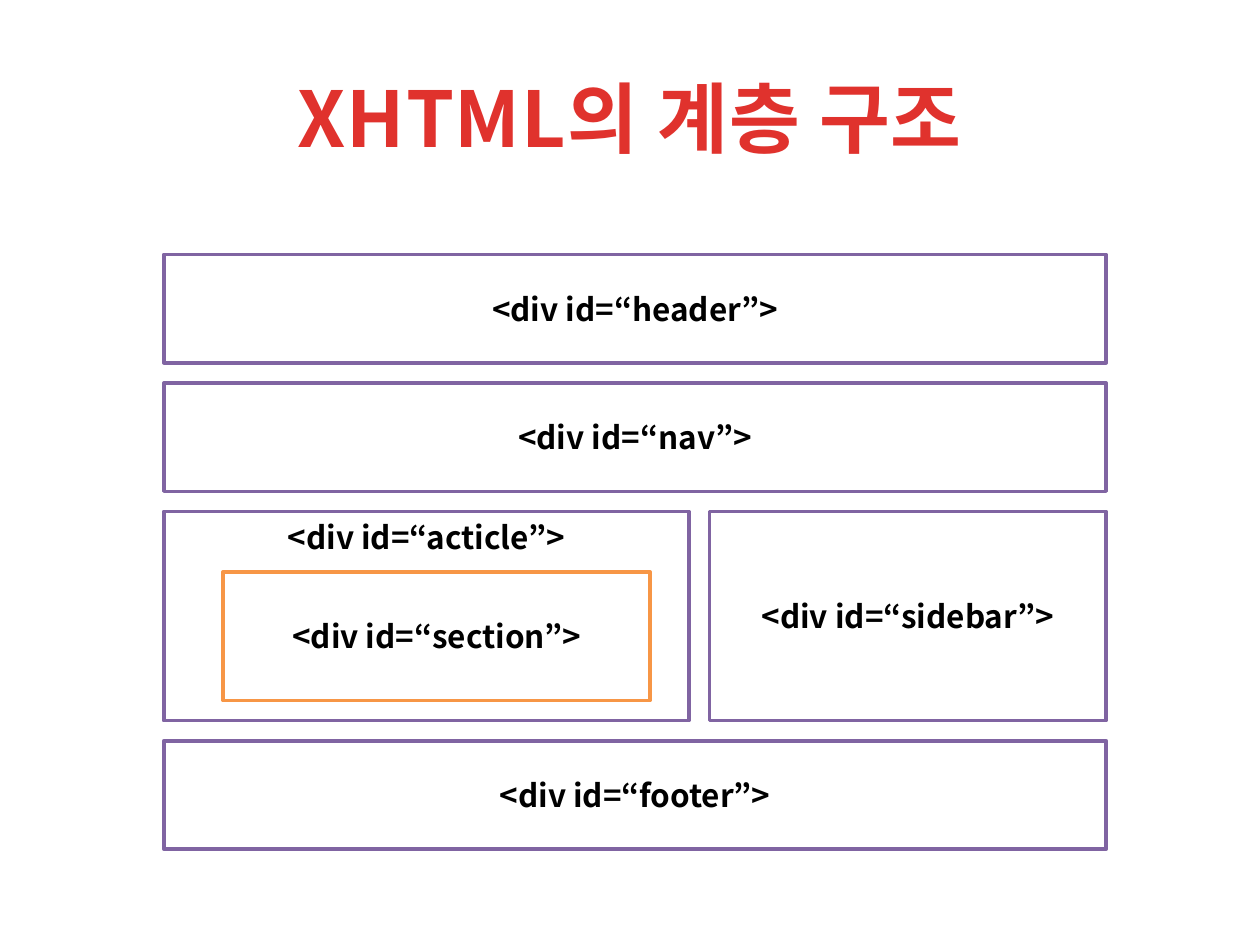
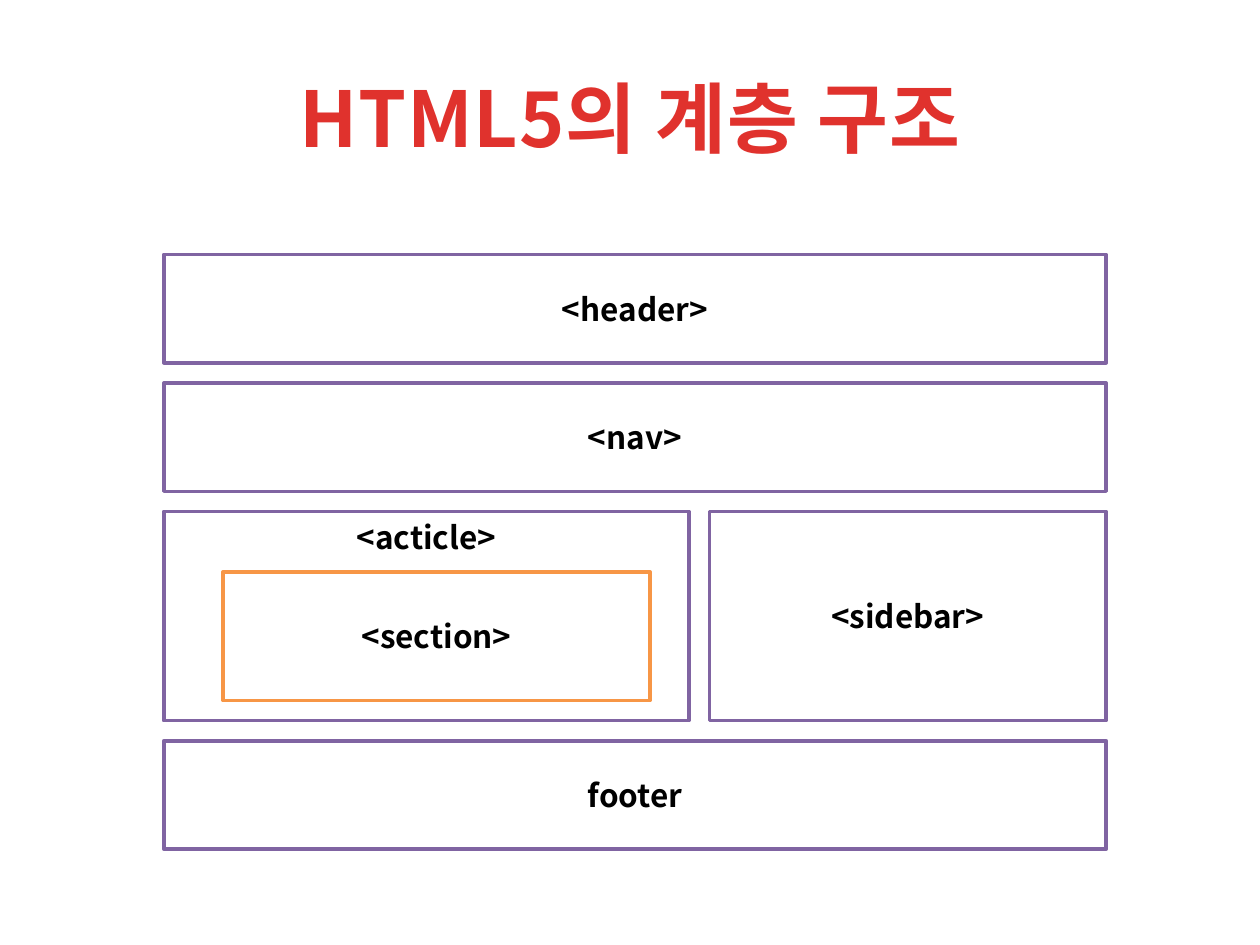
from dataclasses import dataclass

from lxml.etree import SubElement
from pptx import Presentation
from pptx.dml.color import RGBColor
from pptx.enum.shapes import MSO_SHAPE
from pptx.enum.text import MSO_ANCHOR, PP_ALIGN
from pptx.oxml.ns import qn
from pptx.slide import Slide
from pptx.text.text import _Run as Run
from pptx.util import Inches, Pt

FONT = "Noto Sans CJK KR"
WHITE, BLACK, PURPLE, ORANGE = "FFFFFF", "000000", "8064A2", "F79646"
TITLE_STOPS = ((0.25, "E0322D"), (1, "A2201C"))
TITLE_FORMAT = {"name": FONT, "size": Pt(44), "bold": True}
LABEL_FORMAT = {"name": FONT, "size": Pt(18), "bold": True}

LEFT, TOP, GAP = 1.3, 2.02, 0.16
COLUMNS = (4.17, 3.15)
ROWS = (0.86, 0.86, 1.66, 0.86)


@dataclass(frozen=True)
class Region:
    left: float
    top: float
    width: float
    height: float
    line: str = PURPLE
    anchor: MSO_ANCHOR = MSO_ANCHOR.MIDDLE


@dataclass(frozen=True)
class Page:
    title: str
    labels: tuple[str, ...]


def grid_region(row: int, column: int = 0, span: int = 1, **style) -> Region:
    left = LEFT + sum(COLUMNS[:column]) + column * GAP
    top = TOP + sum(ROWS[:row]) + row * GAP
    width = sum(COLUMNS[column:column + span]) + (span - 1) * GAP
    return Region(left, top, width, ROWS[row], **style)


ARTICLE = grid_region(2, anchor=MSO_ANCHOR.TOP)
SECTION = Region(ARTICLE.left + 0.47, ARTICLE.top + 0.48, 3.39, 1.02, ORANGE)
REGIONS = (
    grid_region(0, span=2),
    grid_region(1, span=2),
    grid_region(3, span=2),
    ARTICLE,
    grid_region(2, column=1),
    SECTION,
)
PAGES = (
    Page("XHTML의 계층 구조", tuple(
        f"<div id=“{name}”>"
        for name in ("header", "nav", "footer", "acticle", "sidebar", "section"))),
    Page("HTML5의 계층 구조", (
        "<header>", "<nav>", "footer", "<acticle>", "<sidebar>", "<section>")),
)


def color(value: str) -> RGBColor:
    return RGBColor.from_string(value)


def write_centred(frame, text: str, text_format: dict) -> Run:
    para = frame.paragraphs[0]
    para.alignment = PP_ALIGN.CENTER
    span = para.add_run()
    span.text = text
    for name, value in text_format.items():
        setattr(span.font, name, value)
    return span


def add_title(slide: Slide, text: str) -> None:
    title = slide.shapes.title
    title.left, title.top, title.width, title.height = map(Inches, (0.5, 0.3, 9, 1.25))
    title.text_frame.vertical_anchor = MSO_ANCHOR.MIDDLE
    span = write_centred(title.text_frame, text, TITLE_FORMAT)
    fill = span.font.fill
    fill.gradient()
    fill.gradient_angle = 270
    for stop, (position, value) in zip(fill.gradient_stops, TITLE_STOPS):
        stop.position = position
        stop.color.rgb = color(value)
    add_korean_font(span)
    span.font._element.set("spc", "50")


def add_korean_font(span: Run) -> None:
    """Apply the font to Hangul as well as to Latin letters."""
    latin = span.font._element.find(qn("a:latin"))
    east_asian = SubElement(span.font._element, qn("a:ea"), typeface=FONT)
    latin.addnext(east_asian)


def add_region(slide: Slide, region: Region, label: str) -> None:
    box = slide.shapes.add_shape(
        MSO_SHAPE.RECTANGLE,
        *map(Inches, (region.left, region.top, region.width, region.height)))
    box.shadow.inherit = False
    box.fill.solid()
    box.fill.fore_color.rgb = color(WHITE)
    box.line.color.rgb = color(region.line)
    box.line.width = Pt(2)
    box.text_frame.word_wrap = True
    box.text_frame.vertical_anchor = region.anchor
    span = write_centred(box.text_frame, label, LABEL_FORMAT)
    span.font.color.rgb = color(BLACK)
    add_korean_font(span)


def main() -> None:
    deck = Presentation()
    deck.slide_width, deck.slide_height = Inches(10), Inches(7.5)
    title_only = deck.slide_layouts.get_by_name("Title Only")
    for page in PAGES:
        slide = deck.slides.add_slide(title_only)
        add_title(slide, page.title)
        for region, label in zip(REGIONS, page.labels):
            add_region(slide, region, label)
    deck.save("out.pptx")


if __name__ == "__main__":
    main()
